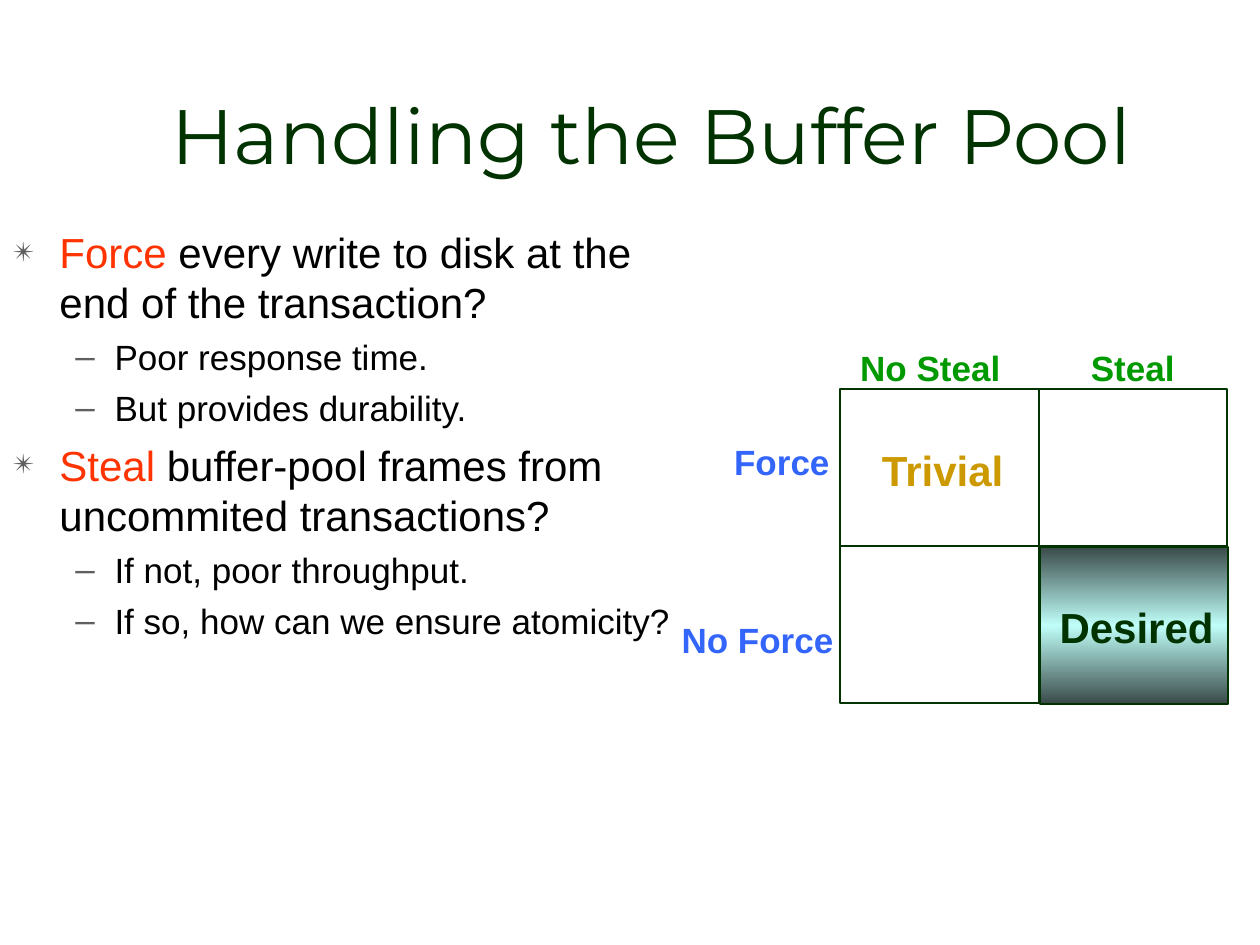
from dataclasses import dataclass

from lxml.etree import SubElement
from pptx import Presentation
from pptx.dml.color import RGBColor
from pptx.enum.shapes import MSO_CONNECTOR, MSO_SHAPE
from pptx.enum.text import MSO_ANCHOR, MSO_AUTO_SIZE, PP_ALIGN
from pptx.oxml import parse_xml
from pptx.oxml.ns import nsdecls, qn
from pptx.shapes.autoshape import Shape
from pptx.shapes.connector import Connector
from pptx.slide import Slide
from pptx.util import Cm, Pt


@dataclass(frozen=True)
class Theme:
    body_font: str = "Arial"
    title_font: str = "Montserrat"
    title_size: int = 44
    large: int = 24
    small: int = 20
    dark: str = "003300"
    ink: str = "000000"
    accent: str = "FF3300"
    bullet: str = "5F5F5F"
    force: str = "3365FB"
    steal: str = "009900"
    trivial: str = "CC9900"
    shade: str = "394B49"
    glow: str = "C0FEF9"
    line: float = 1


@dataclass(frozen=True)
class Box:
    left: float
    top: float
    width: float
    height: float

    def lengths(self) -> tuple[Cm, ...]:
        return Cm(self.left), Cm(self.top), Cm(self.width), Cm(self.height)


@dataclass(frozen=True)
class Label:
    text: str
    box: Box
    color: str
    size: int


@dataclass(frozen=True)
class Level:
    margin: float
    hang: float
    before: int
    mark: str
    mark_size: int
    size: int


@dataclass(frozen=True)
class Point:
    level: Level
    text: str
    keyword: str = ""


THEME = Theme()
QUESTION = Level(0.95, 0.95, 6, "✴", 65, THEME.large)
ANSWER = Level(2.06, 0.79, 5, "–", 100, THEME.small)
POINTS = (
    Point(QUESTION, " every write to disk at the end of the transaction?", "Force"),
    Point(ANSWER, "Poor response time."),
    Point(ANSWER, "But provides durability."),
    Point(QUESTION, " buffer-pool frames from uncommited transactions?", "Steal"),
    Point(ANSWER, "If not, poor throughput."),
    Point(ANSWER, "If so, how can we ensure atomicity?"),
)
MATRIX = Box(16.94, 7.85, 7.8, 6.32)
DIVIDER = 20.95
MIDDLE = MATRIX.top + MATRIX.height / 2
TARGET = Box(DIVIDER + 0.02, MIDDLE + 0.02, MATRIX.left + MATRIX.width - DIVIDER, MATRIX.height / 2)
LABELS = (
    Label("Force", Box(14.55, 8.76, 2.6, 1.09), THEME.force, THEME.small),
    Label("No Force", Box(13.49, 12.34, 3.8, 1.09), THEME.force, THEME.small),
    Label("No Steal", Box(17.09, 6.86, 3.5, 1.09), THEME.steal, THEME.small),
    Label("Steal", Box(21.74, 6.86, 2.4, 1.09), THEME.steal, THEME.small),
    Label("Trivial", Box(17.53, 8.84, 3.15, 1.27), THEME.trivial, THEME.large),
    Label("Desired", Box(21.11, 12.01, 3.8, 1.27), THEME.dark, THEME.large),
)


def add_run(paragraph, text: str, color: str, **formats) -> None:
    run = paragraph.add_run()
    run.text = text
    for name, value in formats.items():
        setattr(run.font, name, value)
    run.font.color.rgb = RGBColor.from_string(color)


def add_title(slide: Slide) -> None:
    frame = slide.shapes.add_textbox(*Box(2.34, 1.17, 21.59, 3.07).lengths()).text_frame
    frame.word_wrap = True
    frame.vertical_anchor = MSO_ANCHOR.MIDDLE
    heading = frame.paragraphs[0]
    heading.alignment = PP_ALIGN.CENTER
    add_run(heading, "Handling the Buffer Pool", THEME.dark, name=THEME.title_font, size=Pt(THEME.title_size))


def set_bullet(paragraph, level: Level) -> None:
    properties = paragraph._p.get_or_add_pPr()
    properties.set("marL", str(Cm(level.margin)))
    properties.set("indent", str(-Cm(level.hang)))
    tint = SubElement(properties, qn("a:buClr"))
    SubElement(tint, qn("a:srgbClr"), val=THEME.bullet)
    SubElement(properties, qn("a:buSzPct"), val=str(level.mark_size * 1000))
    SubElement(properties, qn("a:buFont"), typeface=THEME.body_font)
    SubElement(properties, qn("a:buChar"), char=level.mark)


def add_points(slide: Slide) -> None:
    frame = slide.shapes.add_textbox(*Box(0, 4.44, 13.97, 11.23).lengths()).text_frame
    frame.word_wrap = True
    for index, point in enumerate(POINTS):
        paragraph = frame.add_paragraph() if index else frame.paragraphs[0]
        set_bullet(paragraph, point.level)
        paragraph.level = 0 if point.level is QUESTION else 1
        paragraph.space_before = Pt(point.level.before if index else 0)
        formats = {"name": THEME.body_font, "size": Pt(point.level.size)}
        if point.keyword:
            add_run(paragraph, point.keyword, THEME.accent, **formats)
        add_run(paragraph, point.text, THEME.ink, **formats)


def set_line(shape: Shape | Connector) -> None:
    shape.line.color.rgb = RGBColor.from_string(THEME.dark)
    shape.line.width = Pt(THEME.line)


def add_rectangle(slide: Slide, box: Box) -> Shape:
    rectangle = slide.shapes.add_shape(MSO_SHAPE.RECTANGLE, *box.lengths())
    rectangle.shadow.inherit = False
    rectangle.fill.background()
    set_line(rectangle)
    return rectangle


def add_divider(slide: Slide, x1: float, y1: float, x2: float, y2: float) -> Connector:
    divider = slide.shapes.add_connector(MSO_CONNECTOR.STRAIGHT, Cm(x1), Cm(y1), Cm(x2), Cm(y2))
    set_line(divider)
    SubElement(divider._element.spPr, qn("a:effectLst"))
    return divider


def add_matrix(slide: Slide) -> None:
    right, bottom = MATRIX.left + MATRIX.width, MATRIX.top + MATRIX.height
    outline = add_rectangle(slide, MATRIX)
    row_divider = add_divider(slide, MATRIX.left, MIDDLE, right, MIDDLE)
    row_divider.begin_connect(outline, 1)
    row_divider.end_connect(outline, 3)
    add_divider(slide, DIVIDER, MATRIX.top, DIVIDER, bottom)
    target = add_rectangle(slide, TARGET)
    target.fill.gradient()
    target.fill.gradient_angle = 90
    for stop in target.fill.gradient_stops:
        stop.color.rgb = RGBColor.from_string(THEME.shade)
    stops = target._element.spPr.find(qn("a:gradFill")).find(qn("a:gsLst"))
    stops.insert(1, parse_xml(f'<a:gs {nsdecls("a")} pos="50000"><a:srgbClr val="{THEME.glow}"/></a:gs>'))


def add_label(slide: Slide, label: Label) -> None:
    frame = slide.shapes.add_textbox(*label.box.lengths()).text_frame
    frame.word_wrap = False
    frame.auto_size = MSO_AUTO_SIZE.SHAPE_TO_FIT_TEXT
    add_run(frame.paragraphs[0], label.text, label.color, name=THEME.body_font, size=Pt(label.size), bold=True)


def main() -> None:
    """Build the buffer pool slide and save it."""
    deck = Presentation()
    deck.slide_width, deck.slide_height = Cm(25.4), Cm(19.05)
    slide = deck.slides.add_slide(deck.slide_layouts[6])
    add_title(slide)
    add_points(slide)
    add_matrix(slide)
    for label in LABELS:
        add_label(slide, label)
    deck.save("out.pptx")


if __name__ == "__main__":
    main()
